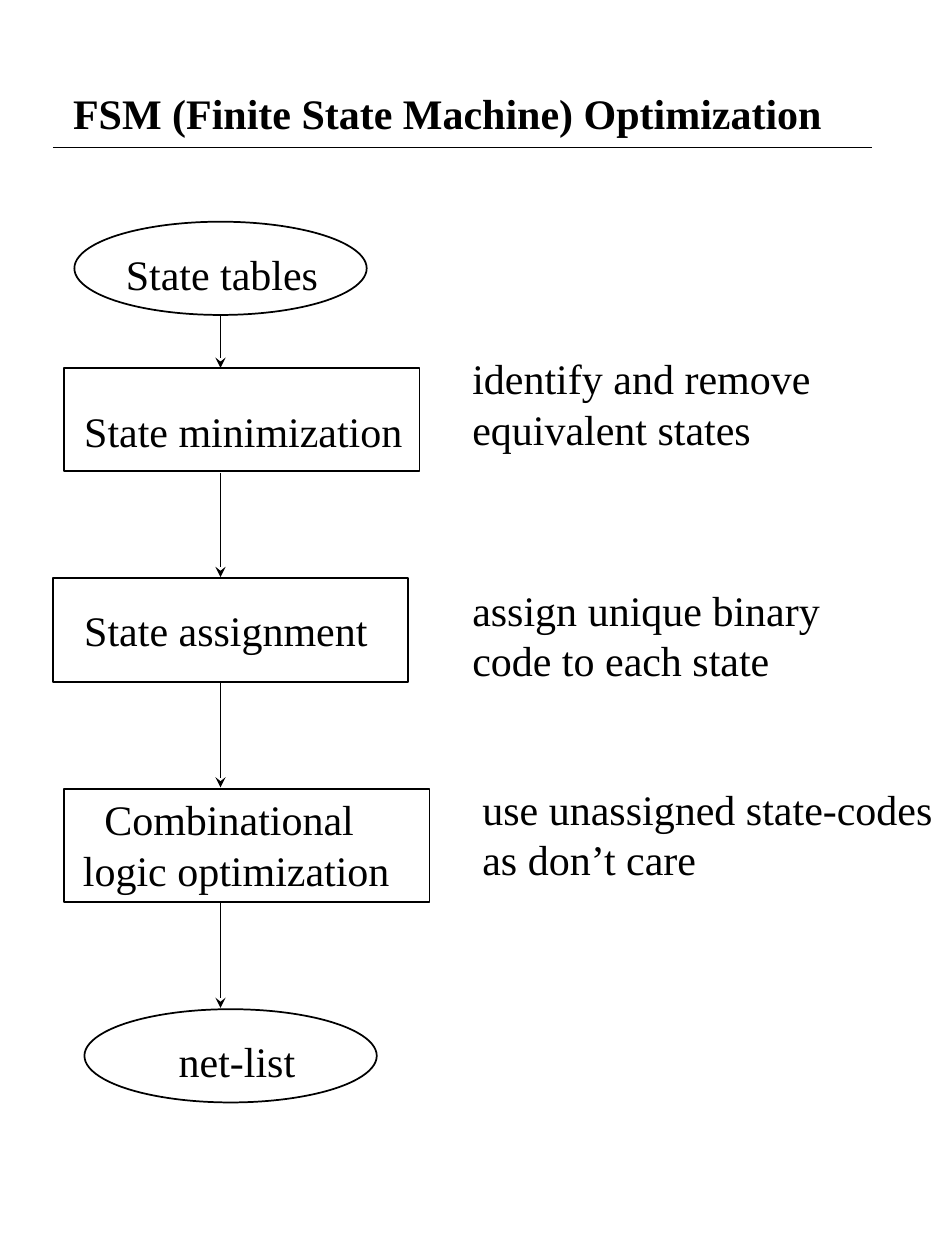
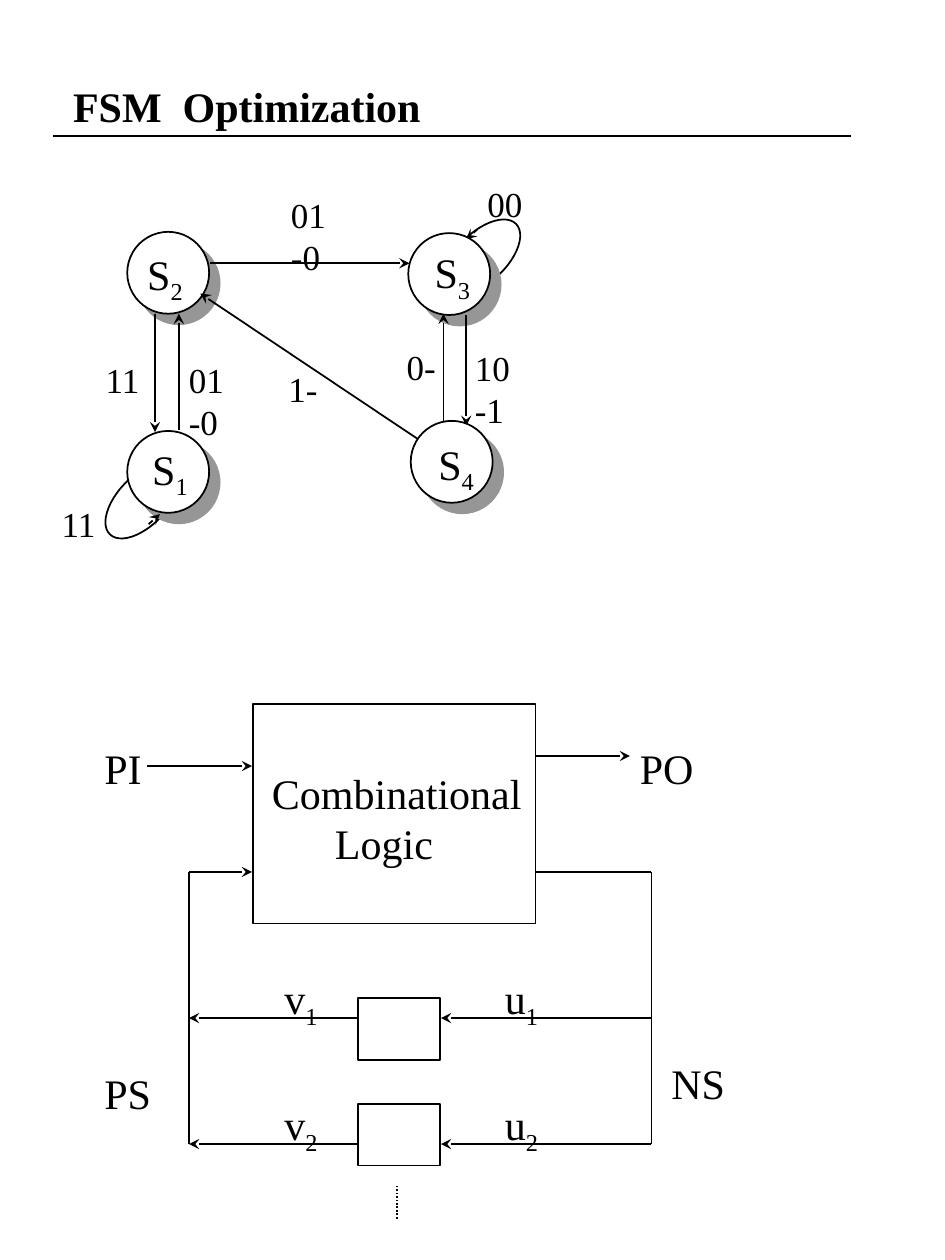
from pptx import Presentation
from pptx import util as u
from pptx.dml.color import RGBColor
from pptx.enum import dml, shapes, text
from pptx.oxml.ns import qn
from lxml import etree

PX = 9144  # 100 px to the inch
FONT = "Times New Roman"
BLACK = RGBColor(0x00, 0x00, 0x00)
WHITE = RGBColor(0xFF, 0xFF, 0xFF)
GRAY = RGBColor(0x96, 0x96, 0x96)
RECTANGLE = shapes.MSO_SHAPE.RECTANGLE
OVAL = shapes.MSO_SHAPE.OVAL


def add_outline(slide, kind, bounds, rotation=0, shadow=False):
    shape = slide.shapes.add_shape(kind, *[value * PX for value in bounds])
    shape.rotation = rotation
    shape.fill.solid()
    shape.fill.fore_color.rgb = WHITE
    shape.line.color.rgb = BLACK
    shape.line.width = u.Pt(1)
    shape.shadow.inherit = False
    if shadow:
        effects = shape._element.spPr.find(qn("a:effectLst"))
        outer = etree.SubElement(effects, qn("a:outerShdw"), blurRad="0",
                                 dist=str(u.Pt(8.5)), dir="2700000", algn="ctr", rotWithShape="0")
        etree.SubElement(outer, qn("a:srgbClr"), val=str(GRAY))


def add_line(slide, x1, y1, x2, y2, arrow=True, dash=None):
    line = slide.shapes.add_connector(shapes.MSO_CONNECTOR.STRAIGHT,
                                      x1 * PX, y1 * PX, x2 * PX, y2 * PX)
    line.line.color.rgb = BLACK
    line.line.width = u.Pt(1)
    if dash:
        line.line.dash_style = dash
    if arrow:
        etree.SubElement(line.line._get_or_add_ln(), qn("a:tailEnd"), type="stealth")
    etree.SubElement(line._element.spPr, qn("a:effectLst"))


presentation = Presentation()
presentation.slide_width = 750 * PX
presentation.slide_height = 1000 * PX

# Titles, each with a rule below
slides = []
for title_text, title_top, rule_y, rule_end in [
    ("FSM (Finite State Machine) Optimization", 6, 117, 692),
    ("FSM  Optimization", 0, 108, 675),
]:
    slide = presentation.slides.add_slide(presentation.slide_layouts[5])
    title = slide.shapes.title
    title.left, title.top = 48 * PX, title_top * PX
    title.width, title.height = 638 * PX, 167 * PX
    frame = title.text_frame
    frame.auto_size = text.MSO_AUTO_SIZE.NONE
    frame.vertical_anchor = text.MSO_ANCHOR.MIDDLE
    paragraph = frame.paragraphs[0]
    paragraph.alignment = text.PP_ALIGN.LEFT
    run = paragraph.add_run()
    run.text = title_text
    run.font.name = FONT
    run.font.size = u.Pt(24)
    run.font.bold = True
    run.font.color.rgb = BLACK
    add_line(slide, 42, rule_y, rule_end, rule_y, arrow=False)
    slides.append(slide)
flow, machine = slides

# Optimization flow: steps and arrows
for kind, bounds in [
    (OVAL, (59, 176, 232, 74)),
    (RECTANGLE, (51, 292, 282, 82)),
    (RECTANGLE, (42, 459, 282, 82)),
    (RECTANGLE, (51, 626, 290, 90)),
    (OVAL, (67, 801, 232, 74)),
]:
    add_outline(flow, kind, bounds)
for start, end in [(250, 292), (375, 458), (542, 625), (717, 800)]:
    add_line(flow, 175, start, 175, end)

# State diagram: self-loops lie behind the states, S4 lies over its transitions
add_outline(machine, OVAL, (346, 184, 74, 39), rotation=136)
add_line(machine, 379, 182, 370, 190)
add_outline(machine, OVAL, (76, 378, 74, 39), rotation=314)
for left, top in [(324, 185), (101, 184), (101, 342)]:
    add_outline(machine, OVAL, (left, top, 65, 65), shadow=True)
for transition in [
    (167, 209, 325, 209),
    (142, 341, 142, 249),
    (123, 249, 123, 343),
    (352, 334, 352, 249),
    (334, 350, 159, 233),
    (370, 250, 370, 338),
    (118, 416, 127, 408),
]:
    add_line(machine, *transition)
add_outline(machine, OVAL, (326, 334, 65, 65), shadow=True)

# Circuit: logic block with its inputs and outputs
add_outline(machine, RECTANGLE, (201, 559, 224, 174))
add_line(machine, 117, 608, 200, 608)
add_line(machine, 425, 600, 500, 600)
add_line(machine, 150, 692, 200, 692)
add_line(machine, 425, 692, 517, 692, arrow=False)
for bus_x in (150, 517):
    add_line(machine, bus_x, 692, bus_x, 908, arrow=False)

# Circuit: state registers between the buses
for register_top, wire_y in [(792, 808), (876, 908)]:
    add_outline(machine, RECTANGLE, (284, register_top, 65, 49))
    add_line(machine, 517, wire_y, 350, wire_y)
    add_line(machine, 283, wire_y, 150, wire_y)
add_line(machine, 315, 941, 315, 968, arrow=False, dash=dml.MSO_LINE.ROUND_DOT)

# Labels: slide, bounds, size, lines as (indent, text, subscript)
labels = [
    (flow, (90, 192, 173, 50), 24, [(0, "State tables", "")]),
    (flow, (57, 317, 273, 50), 24, [(0, "State minimization", "")]),
    (flow, (57, 475, 245, 50), 24, [(0, "State assignment", "")]),
    (flow, (56, 625, 264, 90), 24, [(17, "Combinational", ""), (0, "logic optimization", "")]),
    (flow, (132, 817, 113, 50), 24, [(0, "net-list", "")]),
    (flow, (365, 275, 289, 90), 24, [(0, "identify and remove", ""), (0, "equivalent states", "")]),
    (flow, (365, 459, 296, 90), 24, [(0, "assign unique binary", ""), (0, "code to each state", "")]),
    (flow, (373, 617, 378, 90), 24, [(0, "use unassigned state-codes", ""), (0, "as don’t care", "")]),
    (machine, (206, 604, 218, 90), 24, [(0, "Combinational", ""), (50, "Logic", "")]),
    (machine, (73, 584, 50, 50), 24, [(0, "PI", "")]),
    (machine, (498, 584, 63, 50), 24, [(0, "PO", "")]),
    (machine, (73, 842, 57, 50), 24, [(0, "PS", "")]),
    (machine, (523, 834, 63, 50), 24, [(0, "NS", "")]),
]
for left, top, number in [(111, 347, "1"), (107, 192, "2"), (335, 191, "3"), (338, 343, "4")]:
    labels.append((machine, (left, top, 48, 56), 24, [(0, "S", number)]))
for number, top in [("1", 767), ("2", 867)]:
    for signal, left in [("v", 216), ("u", 391)]:
        labels.append((machine, (left, top, 47, 56), 24, [(0, signal, number)]))
for left, top, width, conditions in [
    (221, 149, 48, ["01", "-0"]),
    (377, 140, 48, ["00"]),
    (367, 270, 48, ["10", "-1"]),
    (313, 269, 43, ["0-"]),
    (219, 287, 43, ["1-"]),
    (140, 280, 48, ["01", "-0"]),
    (74, 280, 48, ["11"]),
    (39, 394, 48, ["11"]),
]:
    height = 9 + 34 * len(conditions)
    labels.append((machine, (left, top, width, height), 20,
                   [(0, condition, "") for condition in conditions]))

for slide, bounds, size, lines in labels:
    frame = slide.shapes.add_textbox(*[value * PX for value in bounds]).text_frame
    frame.word_wrap = False
    frame.auto_size = text.MSO_AUTO_SIZE.SHAPE_TO_FIT_TEXT
    for index, (indent, words, subscript) in enumerate(lines):
        paragraph = frame.add_paragraph() if index else frame.paragraphs[0]
        if indent:
            paragraph._p.get_or_add_pPr().set("marL", str(indent * PX))
        for content, baseline in [(words, 0), (subscript, -25000)]:
            if not content:
                continue
            run = paragraph.add_run()
            run.text = content
            run.font.name = FONT
            run.font.size = u.Pt(size)
            run.font.color.rgb = BLACK
            if baseline:
                run.font._element.set("baseline", str(baseline))

presentation.save("out.pptx")
